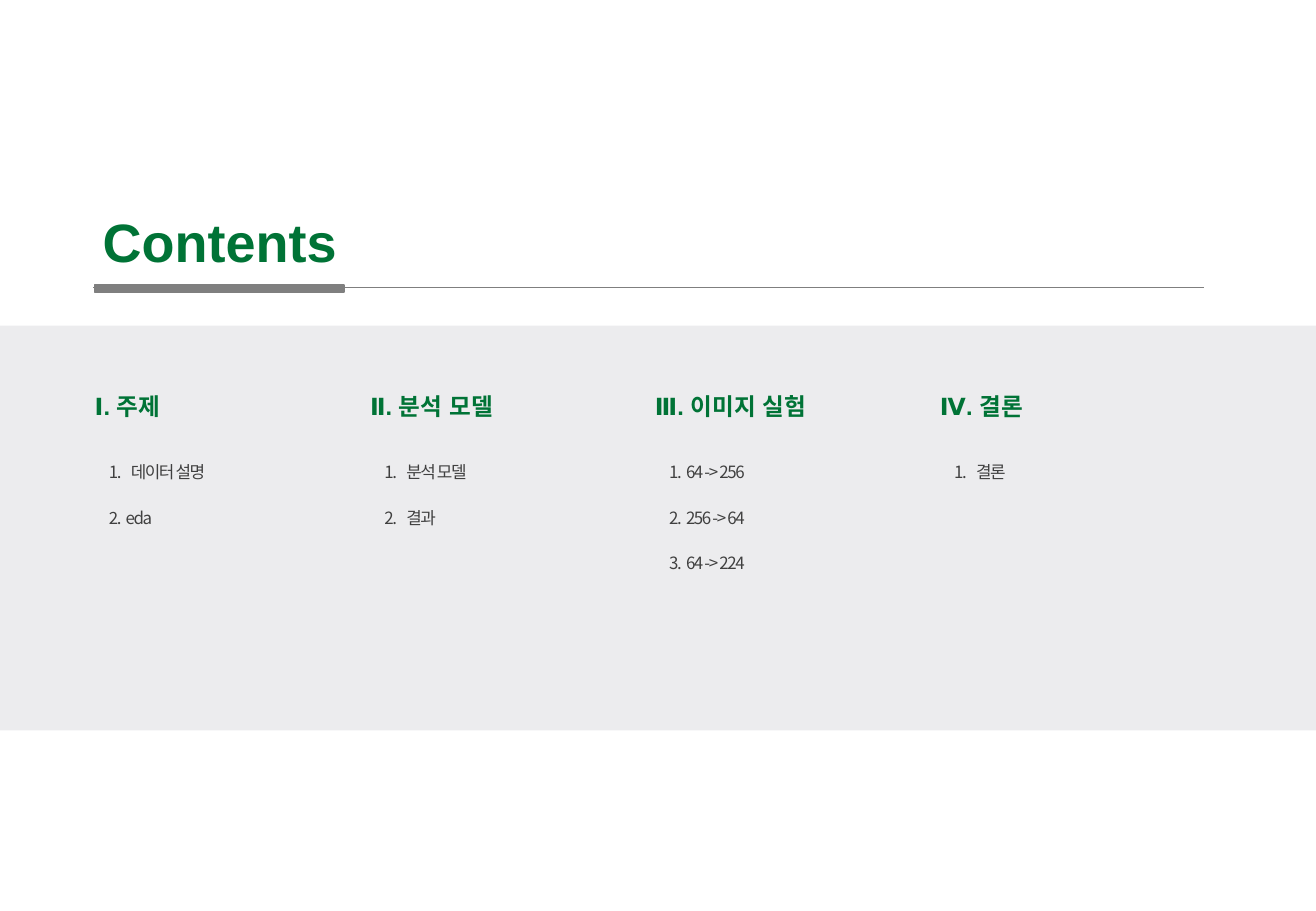
"""Build a contents slide with four numbered sections on a grey band."""
from lxml.etree import SubElement
from pptx import Presentation
from pptx.dml.color import RGBColor
from pptx.enum.shapes import MSO_CONNECTOR as Connector, MSO_SHAPE as Shape
from pptx.enum.text import MSO_ANCHOR as Anchor, MSO_AUTO_SIZE as AutoSize, PP_ALIGN as Align
from pptx.oxml.ns import qn
from pptx.util import Pt

COLORS = {"green": "007336", "text": "404040", "rule": "7F7F7F", "band": "ECECEE"}
FRAME = {"word_wrap": True, "auto_size": AutoSize.NONE, "margin_left": 0,
         "margin_right": 0, "margin_bottom": 0}
TITLE_FRAME = {**FRAME, "margin_left": Pt(7.2), "margin_right": Pt(7.2),
               "margin_top": Pt(3.6), "vertical_anchor": Anchor.TOP}
HEADING_FRAME = {**FRAME, "margin_top": Pt(0.7), "vertical_anchor": Anchor.MIDDLE}
LIST_FRAME = {**FRAME, "margin_top": Pt(8.6), "vertical_anchor": Anchor.TOP}
TITLE_FONT = {"name": "Arial", "size": Pt(32), "bold": True}
HEADING_FONT = {"name": "Arial", "size": Pt(14), "bold": True}
LIST_FONT = {"name": "Noto Sans CJK KR", "size": Pt(10), "bold": False}
LIST_SPACING = {"alignment": Align.LEFT, "line_spacing": 1.5,
                "space_before": Pt(8.9), "space_after": Pt(0)}
SECTIONS = [
    (55.4, 137, "Ⅰ. 주제", ["데이터 설명", "eda"]),
    (218.7, 137, "Ⅱ. 분석 모델", ["분석 모델", "결과"]),
    (387.5, 160, "Ⅲ. 이미지 실험", ["64 -> 256", "256 -> 64", "64 -> 224"]),
    (556.4, 156, "Ⅳ. 결론", ["결론"]),
]
NUMBER_INDENT = 3.6


def apply(target, values):
    for name, value in values.items():
        setattr(target, name, value)


def add_span(para, text, font, color):
    span = para.add_run()
    span.text = text
    apply(span.font, font)
    span.font.color.rgb = RGBColor.from_string(COLORS[color])
    SubElement(span.font._element, qn("a:ea")).set("typeface", font["name"])
    return span


deck = Presentation()
apply(deck, {"slide_width": Pt(780), "slide_height": Pt(540)})
page = deck.slides.add_slide(deck.slide_layouts.get_by_name("Comparison"))
title, *lists = page.placeholders

band = page.shapes.add_shape(Shape.RECTANGLE, 0, Pt(193), Pt(780), Pt(240))
bar = page.shapes.add_shape(Shape.RECTANGLE, Pt(56), Pt(169), Pt(148), Pt(4.3))
for shape, color in ((band, "band"), (bar, "rule")):
    shape.shadow.inherit = False
    shape.fill.solid()
    shape.fill.fore_color.rgb = RGBColor.from_string(COLORS[color])
band.line.fill.background()
bar.line.color.rgb = RGBColor.from_string(COLORS["rule"])
bar.line.width = Pt(1)
page.shapes._spTree.insert(2, band._element)

rule = page.shapes.add_connector(Connector.STRAIGHT, Pt(55.4), Pt(170.6), Pt(713.5), Pt(170.6))
rule.line.color.rgb = RGBColor.from_string(COLORS["rule"])
rule.line.width = Pt(0.5)
SubElement(rule._element.spPr, qn("a:effectLst"))

apply(title, {"left": Pt(41.8), "top": Pt(120.2), "width": Pt(177), "height": Pt(46)})
apply(title.text_frame, TITLE_FRAME)
para = title.text_frame.paragraphs[0]
para.alignment = Align.CENTER
add_span(para, "Contents", TITLE_FONT, "green")

for (left, width, heading, items), body in zip(SECTIONS, lists):
    box = page.shapes.add_textbox(Pt(left), Pt(231.1), Pt(width), Pt(18))
    apply(box.text_frame, HEADING_FRAME)
    para = box.text_frame.paragraphs[0]
    para.space_before = Pt(1)
    para._p.get_or_add_pPr().set("marL", str(Pt(0.7)))
    add_span(para, heading, HEADING_FONT, "green")

    apply(body, {"left": Pt(left + 5.5), "top": Pt(259.3),
                 "width": Pt(131), "height": Pt(26.2 * len(items))})
    apply(body.text_frame, LIST_FRAME)
    for number, item in enumerate(items, 1):
        para = body.text_frame.paragraphs[0] if number == 1 else body.text_frame.add_paragraph()
        apply(para, LIST_SPACING)
        gap = 10 if item.isascii() else 13
        settings = para._p.get_or_add_pPr()
        settings.set("marL", str(Pt(NUMBER_INDENT + gap)))
        settings.set("indent", str(-Pt(gap)))
        SubElement(settings, qn("a:buNone"))
        span = add_span(para, f"{number}.\t{item}", LIST_FONT, "text")
        span.font._element.set("spc", "-80")

deck.save("out.pptx")
